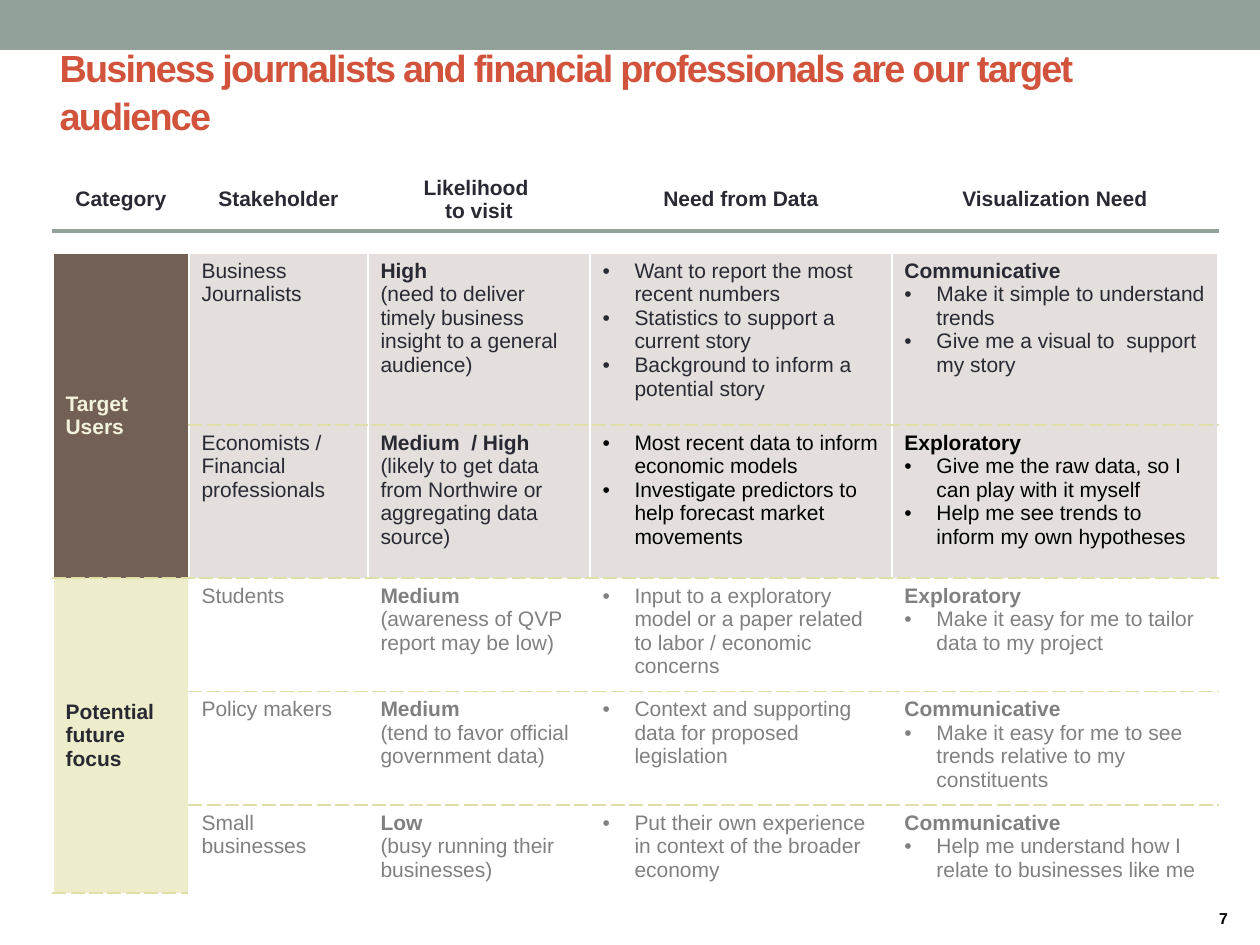
from lxml.etree import SubElement
from pptx import Presentation
from pptx.dml.color import RGBColor
from pptx.enum.shapes import MSO_SHAPE
from pptx.enum.text import MSO_ANCHOR, MSO_AUTO_SIZE, PP_ALIGN
from pptx.oxml.ns import qn
from pptx.util import Emu, Pt

# Content
TITLE = "Business journalists and financial professionals are our target audience"
PAGE_NUMBER = "7"
HEADERS = [["Category"], ["Stakeholder"], ["Likelihood ", "to visit"],
           ["Need from Data"], ["Visualization Need"]]
# Each stakeholder: name, likelihood, reason, data needs, visual style, visual needs
GROUPS = [
    {"name": "Target Users", "fill": "brown", "name_color": "cream",
     "row_fill": "stone", "text_color": "ink", "stakeholders": [
         ("Business Journalists", "High",
          "(need to deliver timely business insight to a general audience)",
          ["Want to report the most recent numbers",
           "Statistics to support a current story",
           "Background to inform a potential story"],
          "Communicative",
          ["Make it simple to understand trends",
           "Give me a visual to  support my story"]),
         ("Economists / Financial professionals", "Medium  / High",
          "(likely to get data from Northwire or aggregating data source)",
          ["Most recent data to inform economic models",
           "Investigate predictors to help forecast market movements"],
          "Exploratory",
          ["Give me the raw data, so I can play with it myself",
           "Help me see trends to inform my own hypotheses"]),
     ]},
    {"name": "Potential future focus", "fill": "lime", "name_color": "ink",
     "row_fill": None, "text_color": "gray", "stakeholders": [
         ("Students", "Medium", "(awareness of QVP report may be low)",
          ["Input to a exploratory model or a paper related to labor / economic concerns"],
          "Exploratory", ["Make it easy for me to tailor data to my project"]),
         ("Policy makers", "Medium", "(tend to favor official government data)",
          ["Context and supporting data for proposed legislation"],
          "Communicative",
          ["Make it easy for me to see trends relative to my constituents"]),
         ("Small businesses", "Low", "(busy running their businesses)",
          ["Put their own experience in context of the broader economy"],
          "Communicative", ["Help me understand how I relate to businesses like me"]),
     ]},
]
BLACK_TEXT_CELLS = {(3, 3), (3, 4)}

COLORS = {"sage": "93A299", "red": "D2533C", "ink": "292934", "brown": "726056",
          "cream": "F3F2DC", "stone": "E4DFDC", "lime": "EDECCB", "dash": "E1DFA8",
          "gray": "808080", "white": "FFFFFF", "black": "000000"}
FONT = "Arial"
COLUMN_WIDTHS = [136, 179, 222, 302, 326]
ROW_HEIGHTS = [59, 22, 172, 153, 107, 107, 82]
FIRST_BODY_ROW = 2
BULLET_INDENT = 32
WHITE_LINE = ("white", 1, False)
DASHED_LINE = ("dash", 1, True)
HEADER_LINE = ("sage", 2.25, False)


def px(count):
    return Emu(round(count * 914400 / 126))


def rgb(name):
    return RGBColor.from_string(COLORS[name])


def write(frame, text, first=False, size=12, color="ink", bold=False,
          align=PP_ALIGN.LEFT, bullet=False):
    para = frame.paragraphs[0] if first else frame.add_paragraph()
    para.alignment = align
    if bullet:
        properties = para._p.get_or_add_pPr()
        properties.set("marL", str(px(BULLET_INDENT)))
        properties.set("indent", str(-px(BULLET_INDENT)))
        SubElement(properties, qn("a:buFont")).set("typeface", FONT)
        SubElement(properties, qn("a:buChar")).set("char", "•")
    span = para.add_run()
    span.text = text
    span.font.name = FONT
    span.font.size = Pt(size)
    span.font.bold = bold
    span.font.color.rgb = rgb(color)
    return para


def write_cell(cell, lines, **style):
    for index, (text, options) in enumerate(lines):
        write(cell.text_frame, text, first=index == 0, **{**style, **options})


def set_borders(cell, top, bottom):
    properties = cell._tc.get_or_add_tcPr()
    sides = [("L", WHITE_LINE), ("R", WHITE_LINE), ("T", top), ("B", bottom)]
    for side, (color, width, dashed) in sides:
        line = SubElement(properties, qn(f"a:ln{side}"), w=str(Pt(width)))
        fill = SubElement(line, qn("a:solidFill"))
        SubElement(fill, qn("a:srgbClr"), val=COLORS[color])
        SubElement(line, qn("a:prstDash"), val="dash" if dashed else "solid")


def set_fill(cell, color):
    if color:
        cell.fill.solid()
        cell.fill.fore_color.rgb = rgb(color)
    else:
        cell.fill.background()


deck = Presentation()
deck.slide_width, deck.slide_height = px(1260), px(945)
page = deck.slides.add_slide(deck.slide_layouts[5])

# Top band
band = page.shapes.add_shape(MSO_SHAPE.RECTANGLE, 0, 0, px(1260), px(50))
band.shadow.inherit = False
band.fill.solid()
band.fill.fore_color.rgb = rgb("sage")
band.line.fill.background()

# Title
title = page.shapes.title
title.left, title.top, title.width, title.height = px(47), px(38), px(1134), px(105)
title.text_frame.word_wrap = True
title.text_frame.auto_size = MSO_AUTO_SIZE.NONE
title.text_frame.vertical_anchor = MSO_ANCHOR.MIDDLE
headline = write(title.text_frame, TITLE, first=True, size=21.6, color="red", bold=True)
headline.line_spacing = 1.06
headline.runs[0].font._element.set("spc", "-100")

# Page number
number = page.shapes.add_textbox(px(1187), px(903), px(73), px(31))
number.text_frame.word_wrap = True
write(number.text_frame, PAGE_NUMBER, first=True, size=9, color="black", bold=True,
      align=PP_ALIGN.CENTER)

# Table grid
table = page.shapes.add_table(
    len(ROW_HEIGHTS), len(COLUMN_WIDTHS), px(53), px(168),
    px(sum(COLUMN_WIDTHS)), px(sum(ROW_HEIGHTS))).table
table.first_row = table.horz_banding = False
for column, width in zip(table.columns, COLUMN_WIDTHS):
    column.width = px(width)
for row, height in zip(table.rows, ROW_HEIGHTS):
    row.height = px(height)

# Rules between rows
rules = [WHITE_LINE, HEADER_LINE, WHITE_LINE] + [DASHED_LINE] * 4 + [WHITE_LINE]
for row_index, row in enumerate(table.rows):
    for cell in row.cells:
        set_borders(cell, rules[row_index], rules[row_index + 1])
        set_fill(cell, None)

# Header and thin spacer row
for index, lines in enumerate(HEADERS):
    header = table.cell(0, index)
    header.vertical_anchor = MSO_ANCHOR.MIDDLE
    write_cell(header, [(line, {}) for line in lines], bold=True, align=PP_ALIGN.CENTER)
    spacer = table.cell(1, index)
    spacer.margin_top = spacer.margin_bottom = 0
    SubElement(spacer.text_frame.paragraphs[0]._p, qn("a:endParaRPr"), sz="400")

# Stakeholder groups
row_index = FIRST_BODY_ROW
for group in GROUPS:
    last_row = row_index + len(group["stakeholders"]) - 1
    category = table.cell(row_index, 0)
    category.merge(table.cell(last_row, 0))
    category.vertical_anchor = MSO_ANCHOR.MIDDLE
    set_fill(category, group["fill"])
    write_cell(category, [(group["name"], {})], bold=True, color=group["name_color"])
    for name, likelihood, reason, needs, style, visuals in group["stakeholders"]:
        columns = [
            [(name, {})],
            [(likelihood, {"bold": True}), (reason, {})],
            [(need, {"bullet": True}) for need in needs],
            [(style, {"bold": True})] + [(need, {"bullet": True}) for need in visuals],
        ]
        for column_index, lines in enumerate(columns, start=1):
            cell = table.cell(row_index, column_index)
            set_fill(cell, group["row_fill"])
            is_black = (row_index, column_index) in BLACK_TEXT_CELLS
            write_cell(cell, lines, color="black" if is_black else group["text_color"])
        row_index += 1

deck.save("out.pptx")
